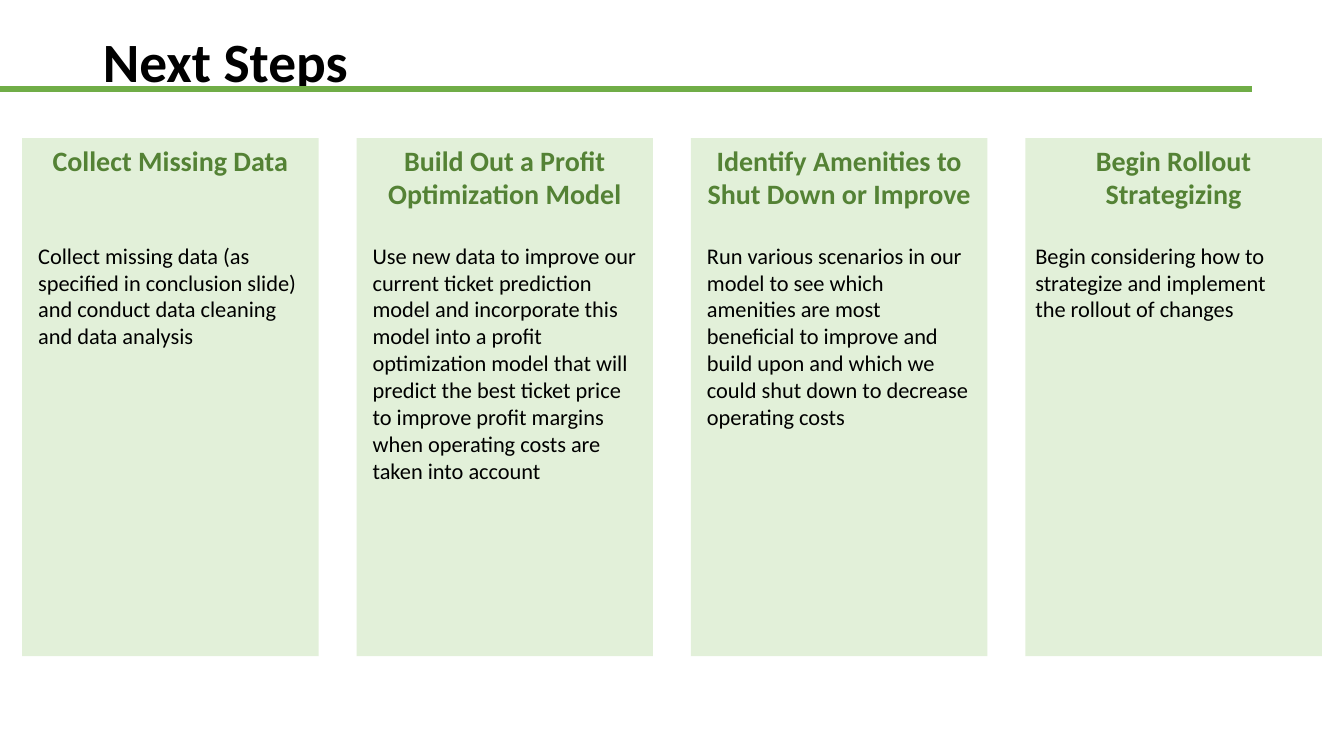
from dataclasses import dataclass

from lxml.etree import SubElement
from pptx import Presentation
from pptx.dml.color import RGBColor
from pptx.enum.shapes import MSO_CONNECTOR, MSO_SHAPE
from pptx.enum.text import MSO_ANCHOR, MSO_AUTO_SIZE, PP_ALIGN
from pptx.oxml.ns import qn
from pptx.util import Inches, Pt


@dataclass(frozen=True)
class Theme:
    font: str = "Calibri"
    ink: str = "000000"
    rule: str = "70AD47"
    card: str = "E2F0D9"
    heading: str = "548235"
    title_size: float = 39.6
    heading_size: float = 20
    body_size: float = 16
    rule_width: float = 4.5


def write(tf, text, font, size, color, bold=False, align=PP_ALIGN.LEFT,
          anchor=MSO_ANCHOR.TOP, line_spacing=None):
    tf.word_wrap = True
    tf.vertical_anchor = anchor
    p = tf.paragraphs[0]
    p.alignment = align
    if line_spacing:
        p.line_spacing = line_spacing
    r = p.add_run()
    r.text = text
    r.font.name = font
    r.font.size = Pt(size)
    r.font.bold = bold
    r.font.color.rgb = RGBColor.from_string(color)


class SlideBuilder:
    def __init__(self, slide, theme):
        self.s = slide
        self.theme = theme

    def title(self, text, x, y, w, h):
        t = self.theme
        sp = self.s.shapes.title
        sp.left, sp.top, sp.width, sp.height = map(Inches, (x, y, w, h))
        sp.text_frame.auto_size = MSO_AUTO_SIZE.NONE
        write(sp.text_frame, text, t.font, t.title_size, t.ink, bold=True,
              anchor=MSO_ANCHOR.MIDDLE, line_spacing=0.9)

    def rule(self, x1, x2, y):
        line = self.s.shapes.add_connector(
            MSO_CONNECTOR.STRAIGHT, Inches(x1), Inches(y), Inches(x2), Inches(y))
        line.line.color.rgb = RGBColor.from_string(self.theme.rule)
        line.line.width = Pt(self.theme.rule_width)
        SubElement(line._element.spPr, qn("a:effectLst"))

    def card(self, heading, x, y, w, h):
        t = self.theme
        sp = self.s.shapes.add_shape(MSO_SHAPE.RECTANGLE, *map(Inches, (x, y, w, h)))
        sp.shadow.inherit = False
        sp.fill.solid()
        sp.fill.fore_color.rgb = RGBColor.from_string(t.card)
        sp.line.fill.background()
        write(sp.text_frame, heading, t.font, t.heading_size, t.heading,
              bold=True, align=PP_ALIGN.CENTER)

    def body(self, text, x, y, w, h):
        t = self.theme
        tf = self.s.shapes.add_textbox(*map(Inches, (x, y, w, h))).text_frame
        write(tf, text, t.font, t.body_size, t.ink)
        tf.auto_size = MSO_AUTO_SIZE.SHAPE_TO_FIT_TEXT


# heading, body text, body inset from the card's left edge, body height
STEPS = [
    ("Collect Missing Data",
     "Collect missing data (as specified in conclusion slide) and conduct data "
     "cleaning and data analysis", 0.06, 1.18),
    ("Build Out a Profit Optimization Model",
     "Use new data to improve our current ticket prediction model and incorporate "
     "this model into a profit optimization model that will predict the best ticket "
     "price to improve profit margins when operating costs are taken into account",
     0.06, 2.52),
    ("Identify Amenities to Shut Down or Improve",
     "Run various scenarios in our model to see which amenities are most beneficial "
     "to improve and build upon and which we could shut down to decrease operating "
     "costs", 0.06, 1.99),
    ("Begin Rollout Strategizing",
     "Begin considering how to strategize and implement the rollout of changes",
     0, 0.91),
]
FIRST_LEFT, LAST_LEFT = 0.22, 10.17


def main():
    prs = Presentation()
    prs.slide_width, prs.slide_height = Inches(13.33), Inches(7.5)
    slide = SlideBuilder(prs.slides.add_slide(prs.slide_layouts[5]), Theme())

    slide.title("Next Steps", 0.92, 0.4, 11.5, 0.48)
    slide.rule(0, 12.42, 0.88)
    pitch = (LAST_LEFT - FIRST_LEFT) / (len(STEPS) - 1)
    for i, (heading, text, inset, height) in enumerate(STEPS):
        x = FIRST_LEFT + i * pitch
        slide.card(heading, x, 1.37, 2.94, 5.14)
        slide.body(text, x + inset, 2.35, 2.82, height)
    prs.save("out.pptx")


if __name__ == "__main__":
    main()
